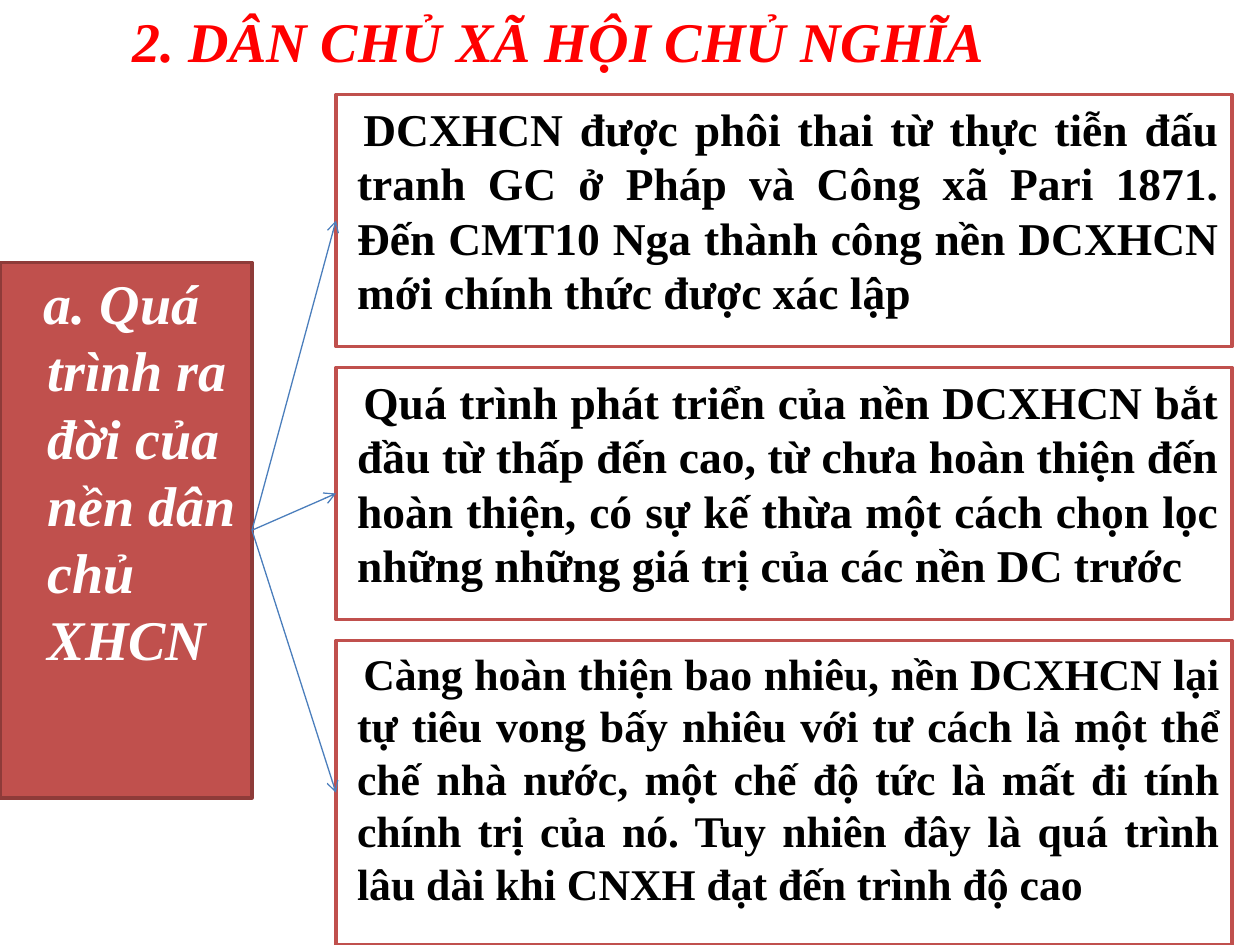
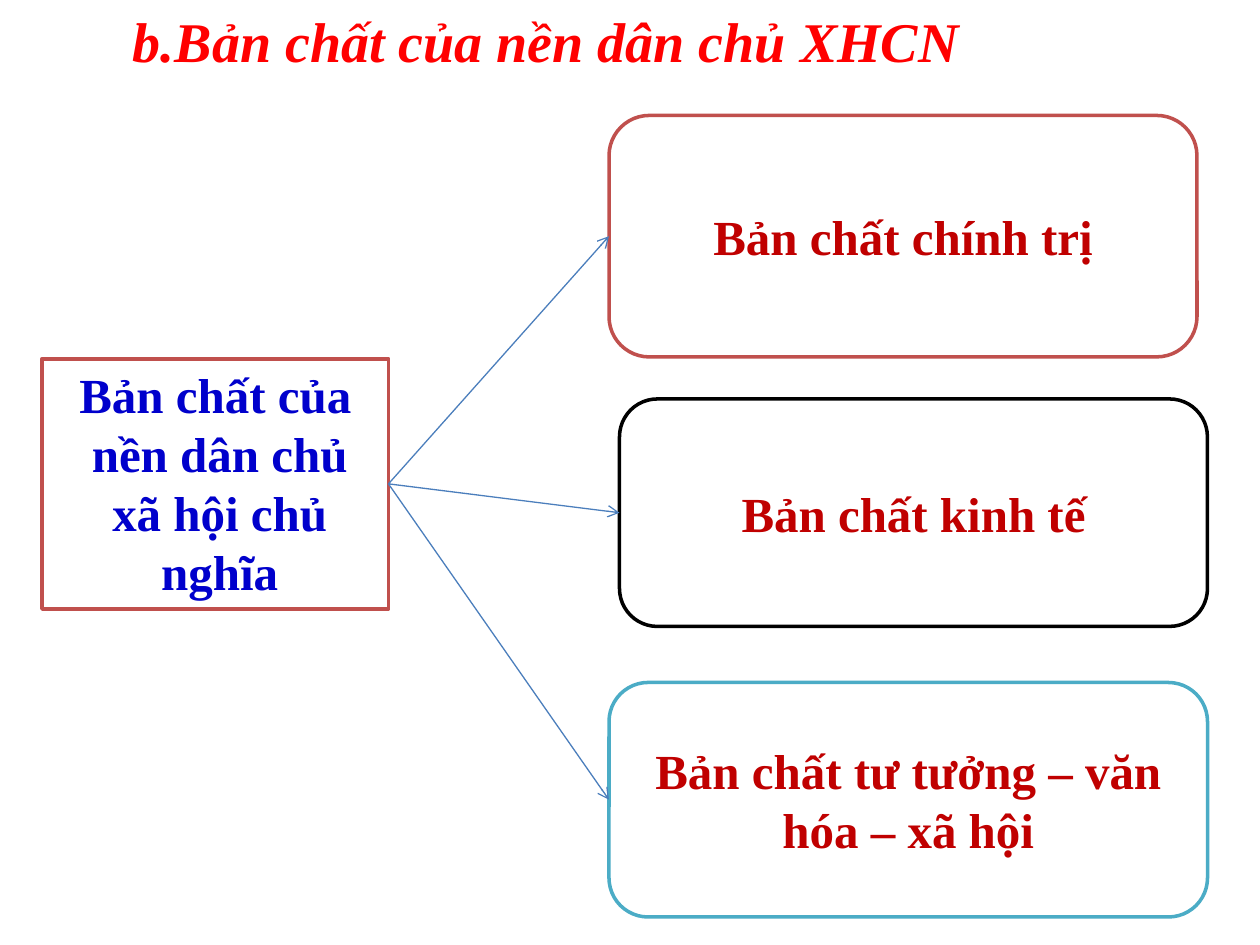
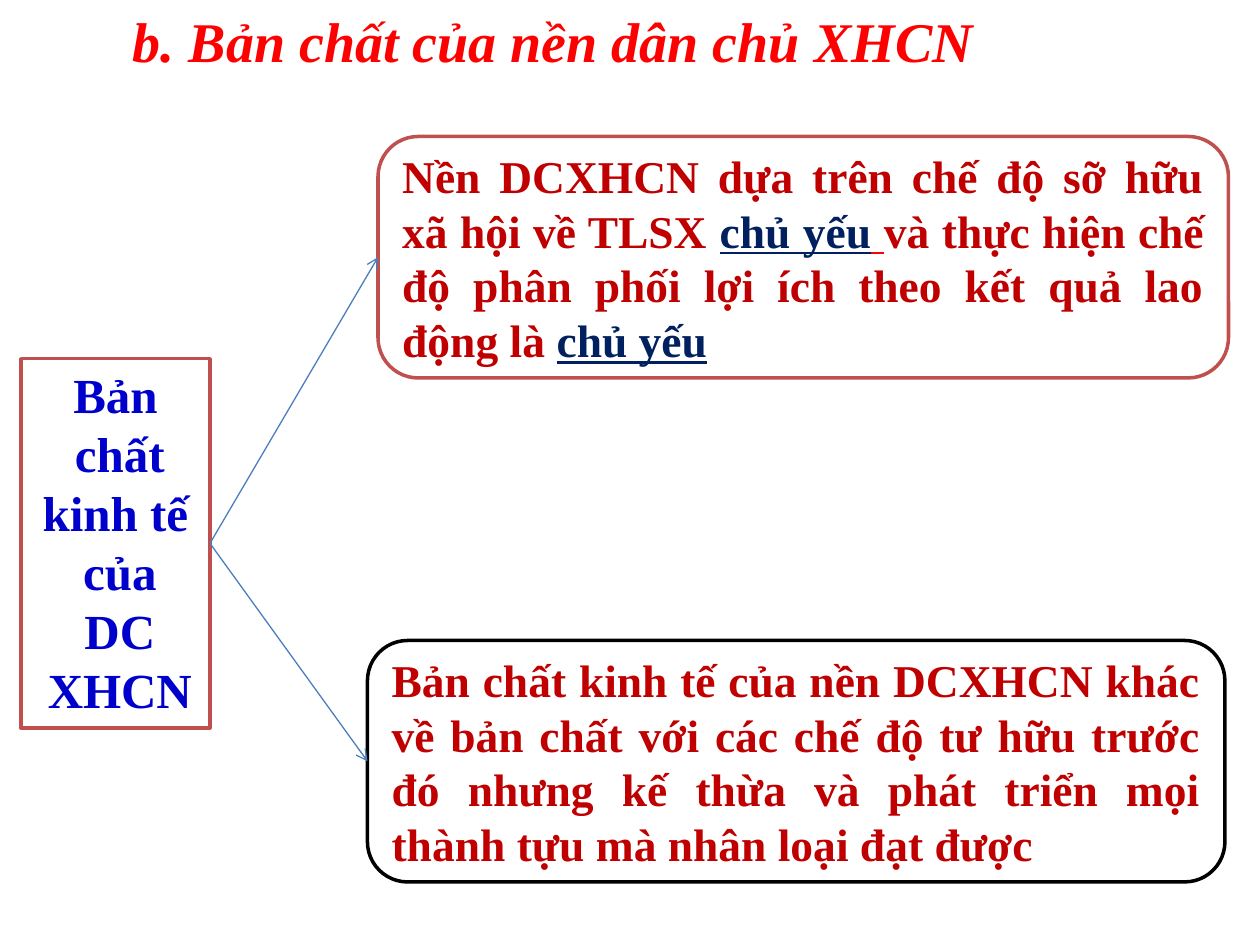
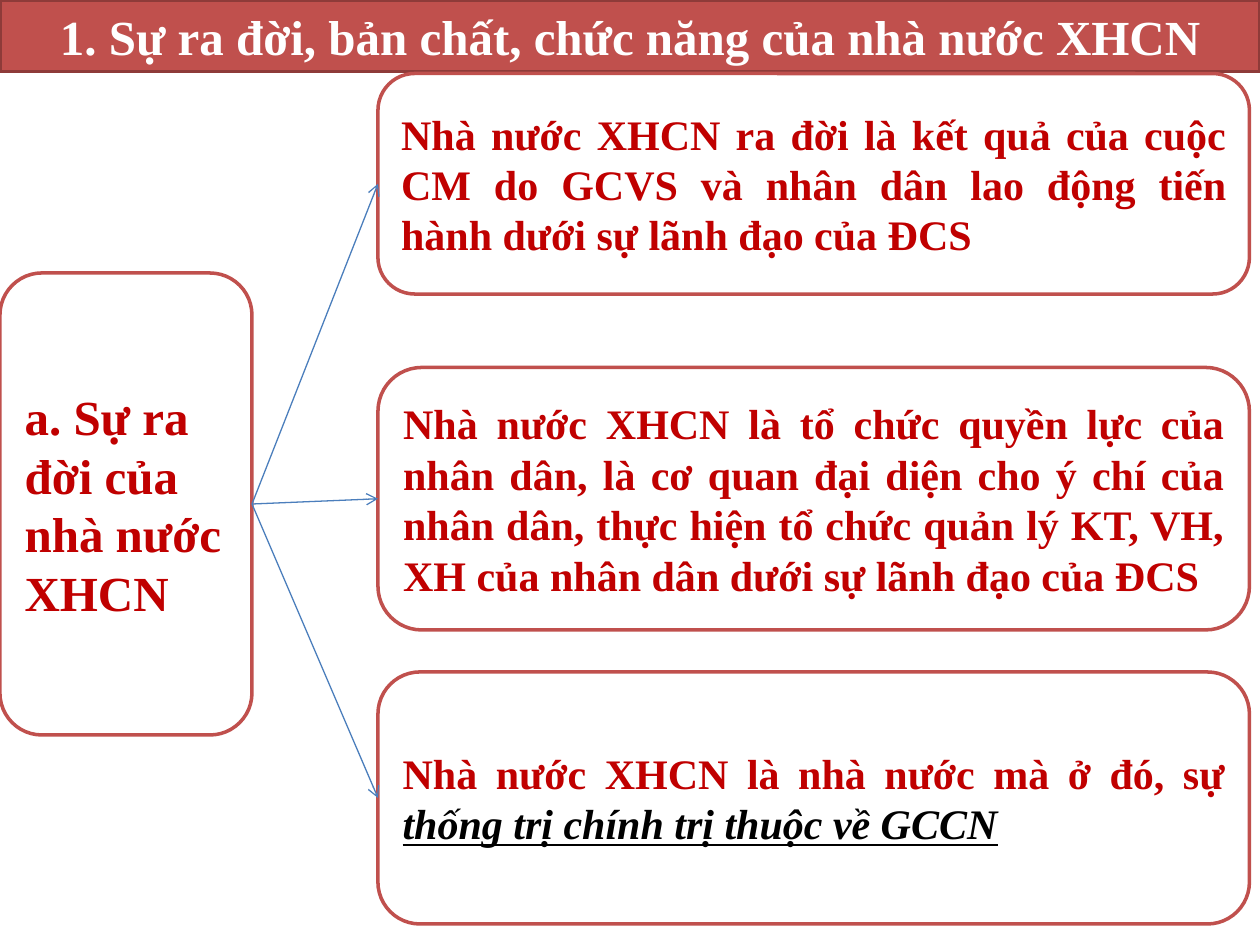
import pptx
import pptx.dml.color
import pptx.enum.shapes
import pptx.enum.text
import pptx.oxml.ns
import pptx.util
import lxml.etree

Pt = pptx.util.Pt
ALIGN = pptx.enum.text.PP_ALIGN
ANCHOR = pptx.enum.text.MSO_ANCHOR
SHAPE = pptx.enum.shapes.MSO_SHAPE

COLORS = {
    "white": "FFFFFF", "black": "000000", "brick": "C0504D", "dark brick": "8E3B39",
    "teal": "4BACC6", "arrow": "4B7EBC", "red": "FF0000", "crimson": "C00000",
    "blue": "0000CC", "navy": "002060",
}

# Shared looks: box outline and fill, paragraph layout, font
BASE = {"outline": "brick", "fill": "white", "form": SHAPE.RECTANGLE, "anchor": ANCHOR.TOP,
        "align": ALIGN.LEFT, "margin": 0, "indent": 0, "color": "crimson",
        "font": {"name": "Times New Roman", "size": Pt(28), "bold": True}}
RED_BAND = BASE | {"fill": "brick", "outline": "dark brick", "color": "white"}
HANGING = {"align": ALIGN.CENTER, "margin": 5, "indent": -5}

HEADING = BASE | {"fill": None, "outline": None, "color": "red", "margin": 28.8, "indent": -20.2,
                  "font": BASE["font"] | {"size": Pt(32), "italic": True}}
BANNER = RED_BAND | HANGING
TOPIC_FILLED = RED_BAND | {"margin": 20.2, "indent": -2.2, "font": HEADING["font"]}
TOPIC_BLUE = BASE | HANGING | {"color": "blue"}
ROUNDED = BASE | {"form": SHAPE.ROUNDED_RECTANGLE, "anchor": ANCHOR.MIDDLE}
ROUNDED_CENTER = ROUNDED | {"align": ALIGN.CENTER}
ROUNDED_26 = ROUNDED | {"align": ALIGN.JUSTIFY, "font": BASE["font"] | {"size": Pt(26)}}
ROUNDED_24 = ROUNDED_26 | {"font": BASE["font"] | {"size": Pt(24)}}
STATEMENT_26 = BASE | {"align": ALIGN.JUSTIFY, "margin": 5, "indent": 3.6, "color": "black",
                       "font": ROUNDED_26["font"]}
STATEMENT_25 = STATEMENT_26 | {"font": BASE["font"] | {"size": Pt(25)}}

# Emphasised runs: (colour, font changes)
KEYWORD = ("navy", {"underline": True})
KEYWORD_GAP = ("red", {"underline": True})
CONCLUSION = ("black", {"italic": True, "underline": True})

# A text is a list of paragraphs; a paragraph is a list of runs: (text, emphasis)
# A part is (left, top, width, height), look, text
TITLE_PLACE = (60, 0, 639, 42)
SLIDES = [
    {"title": (TITLE_PLACE, HEADING, [[("2. DÂN CHỦ XÃ HỘI CHỦ NGHĨA", None)]]),
     "topic": ((0, 150, 144, 306), TOPIC_FILLED,
               [[("a. Quá trình ra đời của nền dân chủ XHCN", None)]]),
     "branches": [
         ((192, 54, 512, 144), STATEMENT_26,
          [[("DCXHCN được phôi thai từ thực tiễn đấu tranh GC ở Pháp và Công xã Pari 1871. "
             "Đến CMT10 Nga thành công nền DCXHCN mới chính thức được xác lập", None)]]),
         ((192, 210, 512, 144), STATEMENT_26,
          [[("Quá trình phát triển của nền DCXHCN bắt đầu từ thấp đến cao, từ chưa hoàn thiện "
             "đến hoàn thiện, có sự kế thừa một cách chọn lọc những những giá trị của các nền "
             "DC trước", None)]]),
         ((192, 366, 512, 174), STATEMENT_25,
          [[("Càng hoàn thiện bao nhiêu, nền DCXHCN lại tự tiêu vong bấy nhiêu với tư cách là "
             "một thể chế nhà nước, một chế độ tức là mất đi tính chính trị của nó. Tuy nhiên "
             "đây là quá trình lâu dài khi CNXH đạt đến trình độ cao", None)]]),
     ]},
    {"title": (TITLE_PLACE, HEADING, [[("b.Bản chất của nền dân chủ XHCN", None)]]),
     "topic": ((24, 205, 198, 143), TOPIC_BLUE,
               [[("Bản chất của nền dân chủ xã hội chủ nghĩa", None)]]),
     "branches": [
         ((348, 66, 336, 138), ROUNDED_CENTER, [[("Bản chất chính trị", None)]]),
         ((354, 228, 336, 130), ROUNDED_CENTER | {"outline": "black"},
          [[("Bản chất kinh tế", None)]]),
         ((348, 390, 342, 134), ROUNDED_CENTER | {"outline": "teal"},
          [[("Bản chất tư tưởng – văn hóa – xã hội", None)]]),
     ]},
    {"title": (TITLE_PLACE, HEADING, [[("b. Bản chất của nền dân chủ XHCN", None)]]),
     "topic": ((12, 205, 108, 211), TOPIC_BLUE,
               [[("Bản chất", None)], [("kinh tế của DC XHCN", None)]]),
     "branches": [
         ((216, 78, 486, 138), ROUNDED_26,
          [[("Nền DCXHCN dựa trên chế độ sỡ hữu xã hội về TLSX ", None), ("chủ yếu", KEYWORD),
            (" ", KEYWORD_GAP),
            ("và thực hiện chế độ phân phối lợi ích theo kết quả lao động là ", None),
            ("chủ yếu", KEYWORD)]]),
         ((210, 366, 490, 138), ROUNDED_26 | {"outline": "black"},
          [[("Bản chất kinh tế của nền DCXHCN khác về bản chất với các chế độ tư hữu trước đó "
             "nhưng kế thừa và phát triển mọi thành tựu mà nhân loại đạt được", None)]]),
     ]},
    {"title": ((0, 0, 720, 41), BANNER,
               [[("1. Sự ra đời, bản chất, chức năng của nhà nước XHCN", None)]]),
     "topic": ((0, 156, 144, 264), ROUNDED, [[("a. Sự ra đời của nhà nước XHCN", None)]]),
     "branches": [
         ((216, 42, 498, 126), ROUNDED_24,
          [[("Nhà nước XHCN ra đời là kết quả của cuộc CM do GCVS và nhân dân lao động tiến "
             "hành dưới sự lãnh đạo của ĐCS", None)]]),
         ((216, 210, 498, 150), ROUNDED_24,
          [[("Nhà nước XHCN là tổ chức quyền lực của nhân dân, là cơ quan đại diện cho ý chí "
             "của nhân dân, thực hiện tổ chức quản lý KT, VH, XH của nhân dân dưới sự lãnh đạo "
             "của ĐCS", None)]]),
         ((216, 384, 498, 144), ROUNDED_24,
          [[("Nhà nước XHCN là nhà nước mà ở đó, sự ", None),
            ("thống trị chính trị thuộc về GCCN", CONCLUSION)]]),
     ]},
]


def rgb(color):
    return pptx.dml.color.RGBColor.from_string(COLORS[color])


def dress(part, look, text):
    """Give a shape or placeholder its fill, outline and formatted text."""
    if look["fill"]:
        part.fill.solid()
        part.fill.fore_color.rgb = rgb(look["fill"])
        part.line.color.rgb = rgb(look["outline"])
        part.line.width = Pt(2)
    frame = part.text_frame
    frame_format = {"word_wrap": True, "auto_size": pptx.enum.text.MSO_AUTO_SIZE.NONE,
                    "vertical_anchor": look["anchor"]}
    for key, value in frame_format.items():
        setattr(frame, key, value)
    for number, runs in enumerate(text):
        paragraph = frame.add_paragraph() if number else frame.paragraphs[0]
        paragraph.alignment = look["align"]
        properties = paragraph._p.get_or_add_pPr()
        properties.set("marL", str(int(Pt(look["margin"]))))
        properties.set("indent", str(int(Pt(look["indent"]))))
        for words, emphasis in runs:
            color, changes = emphasis or (look["color"], {})
            run = paragraph.add_run()
            run.text = words
            run.font.color.rgb = rgb(color)
            for key, value in (look["font"] | changes).items():
                setattr(run.font, key, value)


deck = pptx.Presentation()
deck.slide_width, deck.slide_height = Pt(720), Pt(540)

for content in SLIDES:
    slide = deck.slides.add_slide(deck.slide_layouts[5])

    # Title
    place, look, text = content["title"]
    title = slide.shapes.title
    for side, value in zip(("left", "top", "width", "height"), place):
        setattr(title, side, Pt(value))
    dress(title, look, text)

    # Topic on the left, branches on the right
    boxes = []
    for place, look, text in [content["topic"], *content["branches"]]:
        box = slide.shapes.add_shape(look["form"], *map(Pt, place))
        box.shadow.inherit = False
        dress(box, look, text)
        boxes.append(box)

    # Arrows from the topic to each branch
    topic, *branches = boxes
    for branch in branches:
        arrow = slide.shapes.add_connector(
            pptx.enum.shapes.MSO_CONNECTOR.STRAIGHT, 0, 0, 0, 0)
        arrow.begin_connect(topic, 3)
        arrow.end_connect(branch, 1)
        arrow.line.color.rgb = rgb("arrow")
        arrow.line.width = Pt(0.75)
        outline = arrow.line._get_or_add_ln()
        lxml.etree.SubElement(outline, pptx.oxml.ns.qn("a:tailEnd"), type="arrow")
        lxml.etree.SubElement(arrow._element.spPr, pptx.oxml.ns.qn("a:effectLst"))

deck.save("out.pptx")
